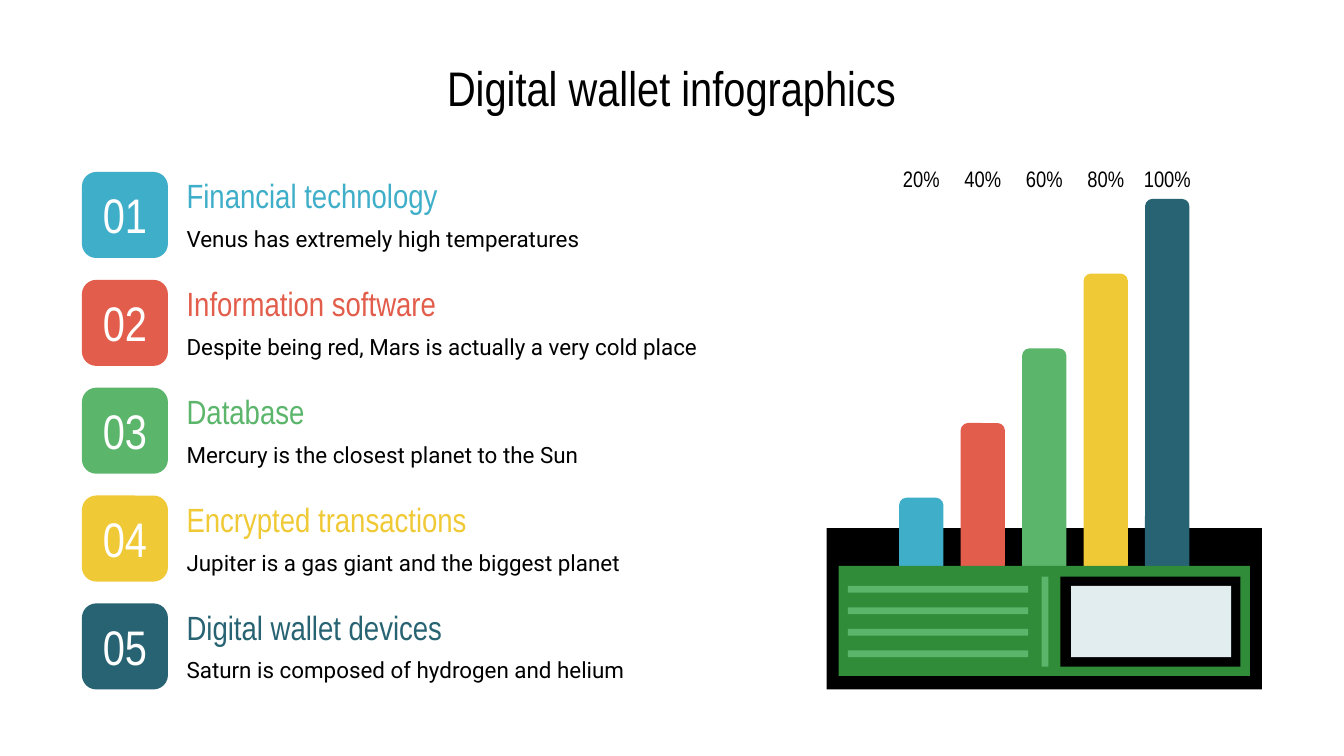
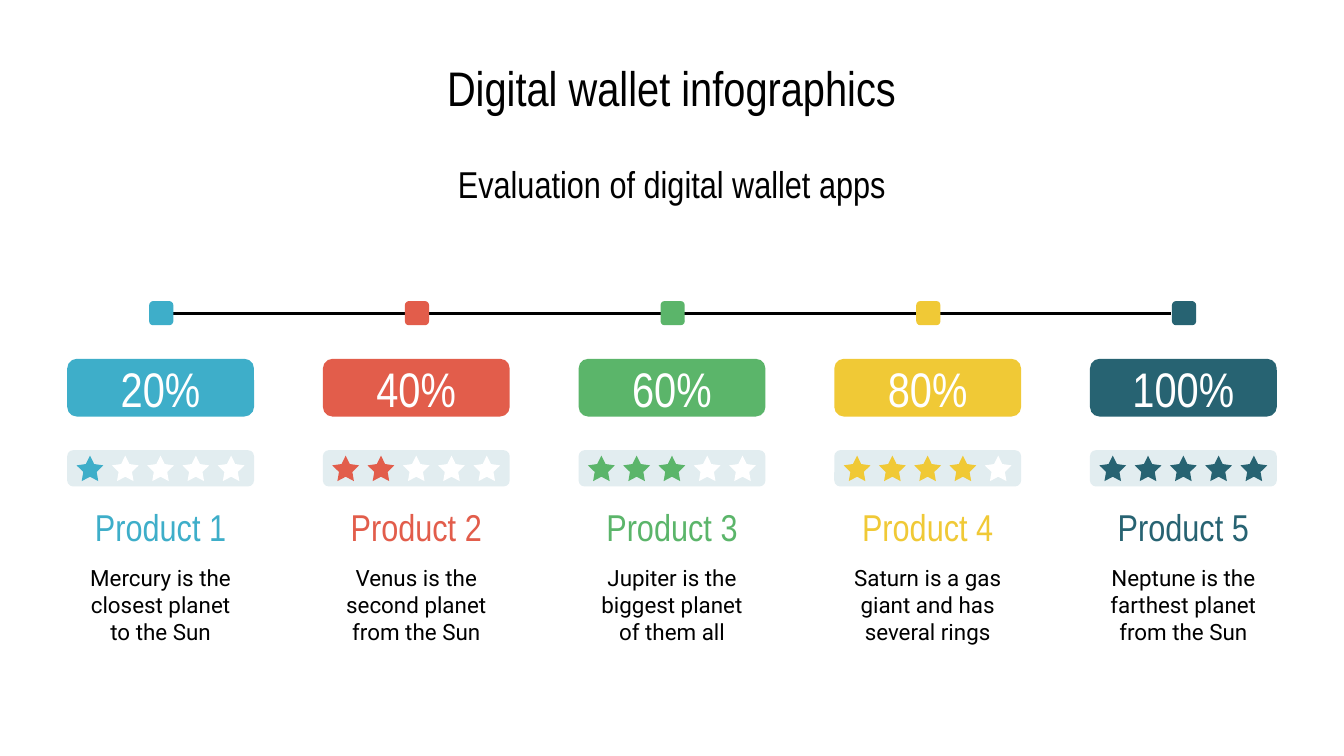
from lxml import etree
from pptx import Presentation
from pptx.dml.color import RGBColor
from pptx.enum.shapes import MSO_CONNECTOR, MSO_SHAPE as Preset
from pptx.enum.text import MSO_ANCHOR as Anchor, PP_ALIGN as Align
from pptx.oxml.ns import qn
from pptx.util import Inches, Pt

# Shared style
BLACK, WHITE, PALE = "000000", "FFFFFF", "E2EDF0"
BLUE, RED, GREEN, YELLOW, TEAL = "3EAEC9", "E25D4B", "5BB56A", "F0C936", "276372"
WALLET_GREEN = "318C3A"
COLORS = [BLUE, RED, GREEN, YELLOW, TEAL]
HEAD_FONT, BODY_FONT = "Arial Narrow", "Roboto"
EVEN_INSETS = (0.1, 0.1, 0.1, 0.1)
TIGHT_INSETS = (0, 0.1, 0, 0.11)  # left, top, right, bottom
ROUNDING = 0.167

# Content
TOPICS = [
    ("Financial technology", "Venus has extremely high temperatures"),
    ("Information software", "Despite being red, Mars is actually a very cold place"),
    ("Database", "Mercury is the closest planet to the Sun"),
    ("Encrypted transactions", "Jupiter is a gas giant and the biggest planet"),
    ("Digital wallet devices", "Saturn is composed of hydrogen and helium"),
]
PRODUCTS = [
    "Mercury is the closest planet to the Sun",
    "Venus is the second planet from the Sun",
    "Jupiter is the biggest planet of them all",
    "Saturn is a gas giant and has several rings",
    "Neptune is the farthest planet from the Sun",
]


def rgb(hex_color):
    return RGBColor.from_string(hex_color)


def spread(first, last, count=5):
    """Evenly spaced positions from first to last."""
    return [first + i * (last - first) / (count - 1) for i in range(count)]


def write(frame, text, size, color, font, align, insets):
    frame.word_wrap = True
    frame.vertical_anchor = Anchor.MIDDLE
    (frame.margin_left, frame.margin_top,
     frame.margin_right, frame.margin_bottom) = map(Inches, insets)
    paragraph = frame.paragraphs[0]
    paragraph.text = text
    paragraph.alignment = align
    paragraph.font.size = Pt(size)
    paragraph.font.name = font
    paragraph.font.color.rgb = rgb(color)


def add_label(slide, box, text, size, color=BLACK, font=HEAD_FONT,
              align=Align.CENTER, insets=EVEN_INSETS):
    label = slide.shapes.add_textbox(*map(Inches, box))
    write(label.text_frame, text, size, color, font, align, insets)


def add_block(slide, box, color, preset=Preset.RECTANGLE, adjust=None):
    block = slide.shapes.add_shape(preset, *map(Inches, box))
    block.shadow.inherit = False
    block.fill.solid()
    block.fill.fore_color.rgb = rgb(color)
    block.line.fill.background()
    if adjust is not None:
        block.adjustments[0] = adjust
    return block


def add_rounded(slide, box, color):
    return add_block(slide, box, color, Preset.ROUNDED_RECTANGLE, ROUNDING)


def add_badge(slide, box, color, text, insets):
    badge = add_rounded(slide, box, color)
    write(badge.text_frame, text, 26, WHITE, HEAD_FONT, Align.CENTER, insets)


def add_rule(slide, left, right, y):
    rule = slide.shapes.add_connector(
        MSO_CONNECTOR.STRAIGHT, Inches(left), Inches(y), Inches(right), Inches(y))
    rule.line.color.rgb = rgb(BLACK)
    rule.line.width = Pt(1.5)
    etree.SubElement(rule._element.spPr, qn("a:effectLst"))


def add_titled_slide(deck):
    slide = deck.slides.add_slide(deck.slide_layouts[6])
    add_label(slide, (0.45, 0.33, 9.1, 0.63), "Digital wallet infographics", 26)
    return slide


# Slide 1: topics beside a wallet of bars
def add_topic(slide, number, top, color, heading, detail):
    add_label(slide, (1.29, top - 0.01, 4.14, 0.37), heading, 18, color,
              align=Align.LEFT)
    add_label(slide, (1.29, top + 0.36, 4.14, 0.27), detail, 12,
              font=BODY_FONT, align=Align.LEFT)
    add_badge(slide, (0.61, top, 0.64, 0.64), color, f"{number:02}", TIGHT_INSETS)


def add_percent_bar(slide, left, percent, color):
    height = 2.78 * percent / 100
    add_rounded(slide, (left, 4.26 - height, 0.33, height), color)
    add_label(slide, (left - 0.03, 1.19, 0.39, 0.29), f"{percent}%", 12,
              insets=TIGHT_INSETS)


def add_wallet_front(slide):
    add_block(slide, (6.24, 4.21, 3.06, 0.82), WALLET_GREEN)
    add_block(slide, (7.75, 4.29, 0.05, 0.67), GREEN)
    for top in spread(4.36, 4.84, 4):
        add_block(slide, (6.31, top, 1.34, 0.05), GREEN)
    add_block(slide, (7.89, 4.29, 1.34, 0.67), BLACK)
    add_block(slide, (7.97, 4.36, 1.19, 0.53), PALE)


def build_topics(deck):
    slide = add_titled_slide(deck)
    add_block(slide, (6.15, 3.93, 3.24, 1.2), BLACK)
    rows = zip(spread(1.28, 4.49), COLORS, TOPICS)
    for number, (top, color, (heading, detail)) in enumerate(rows, 1):
        add_topic(slide, number, top, color, heading, detail)
    bars = zip(spread(6.69, 8.52), COLORS)
    for level, (left, color) in enumerate(bars, 1):
        add_percent_bar(slide, left, 20 * level, color)
    add_wallet_front(slide)


# Slide 2: product ratings on a timeline
def add_rating(slide, left, stars, color):
    add_rounded(slide, (left, 3.35, 1.39, 0.27), PALE)
    for i, star_left in enumerate(spread(left + 0.07, left + 1.12)):
        add_block(slide, (star_left, 3.39, 0.2, 0.19),
                  color if i < stars else WHITE, Preset.STAR_5_POINT, 0.249)


def add_product(slide, left, number, color, detail):
    add_label(slide, (left, 3.73, 1.39, 0.37), f"Product {number}", 20, color)
    add_label(slide, (left, 4.15, 1.39, 0.7), detail, 12, font=BODY_FONT)
    add_badge(slide, (left, 2.67, 1.39, 0.43), color, f"{20 * number}%", EVEN_INSETS)
    add_rating(slide, left, number, color)
    add_rounded(slide, (left + 0.61, 2.24, 0.18, 0.18), color)


def build_ratings(deck):
    slide = add_titled_slide(deck)
    add_label(slide, (2.2, 1.18, 5.6, 0.37), "Evaluation of digital wallet apps", 20)
    add_rule(slide, 1.29, 8.71, 2.33)
    columns = zip(spread(0.5, 8.11), COLORS, PRODUCTS)
    for number, (left, color, detail) in enumerate(columns, 1):
        add_product(slide, left, number, color, detail)


def main():
    deck = Presentation()
    deck.slide_width = Inches(10)
    deck.slide_height = deck.slide_width * 9 // 16
    build_topics(deck)
    build_ratings(deck)
    deck.save("out.pptx")


if __name__ == "__main__":
    main()
